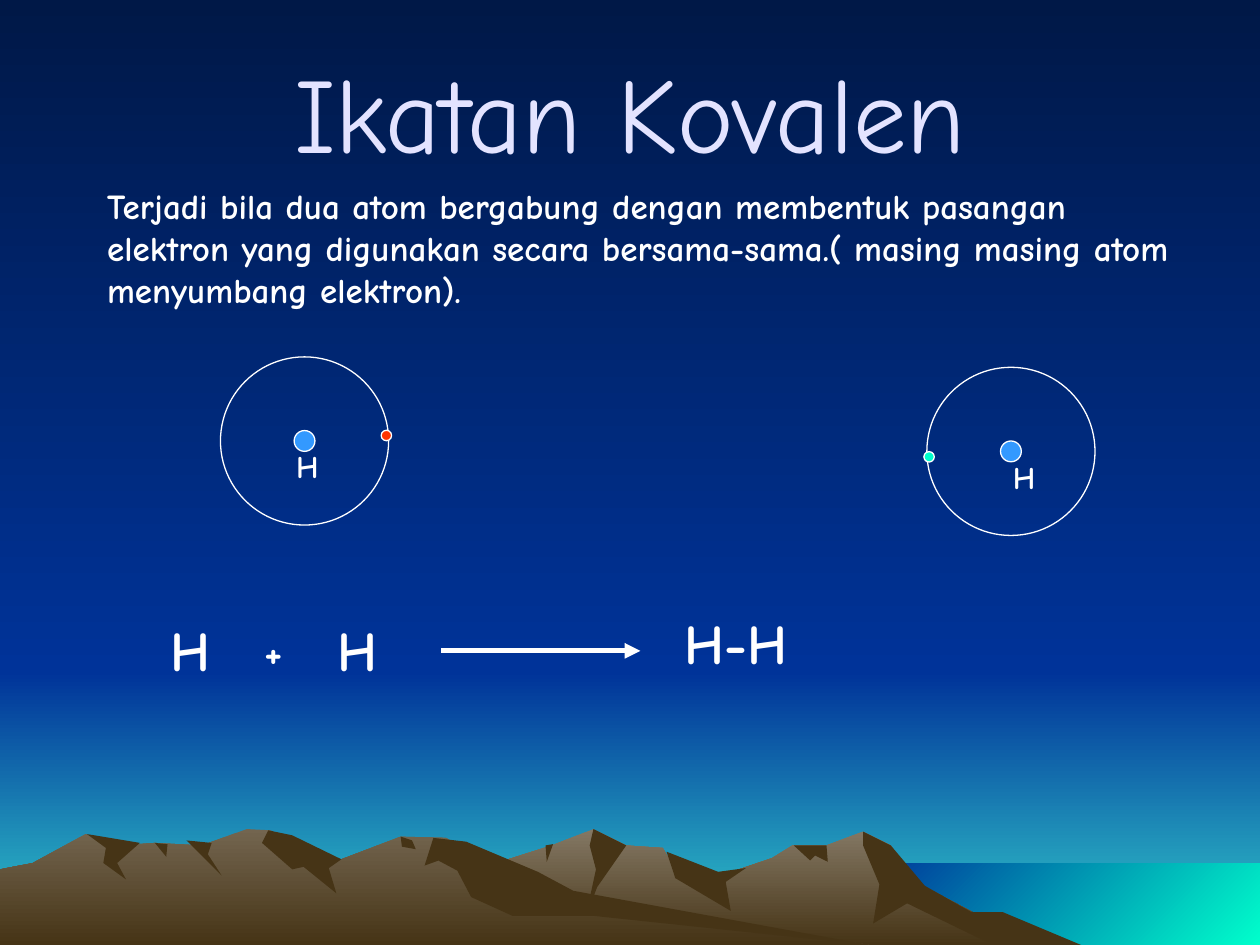
from lxml.etree import SubElement
from pptx import Presentation
from pptx.dml.color import RGBColor
from pptx.enum.shapes import MSO_CONNECTOR, MSO_SHAPE
from pptx.enum.text import MSO_ANCHOR, MSO_AUTO_SIZE, PP_ALIGN
from pptx.oxml.ns import qn
from pptx.util import Cm, Pt

FONT = "Comic Neue"
HUES = {
    "night": "001847", "blue": "003399", "teal": "33CCCC", "aqua": "00FFCC",
    "sand": "847864", "rock": "73654F", "shade": "463416", "title": "E3E3FF",
    "white": "FFFFFF", "core": "3399FF", "red": "FF3300",
}
TITLE = "Ikatan Kovalen"
BODY = ("Terjadi bila dua atom bergabung dengan membentuk pasangan elektron yang "
        "digunakan secara bersama-sama.( masing masing atom menyumbang elektron).")

WIDE, HIGH, SKY = 25.4, 19.05, 13.54
SEA = (17.35, 17.4)

# left, top, right, bottom, colours, angle
BANDS = [
    (0, SKY, WIDE, HIGH, ("blue", "teal"), 270),
    (0, 0, WIDE, SKY, ("night", "blue"), 270),
    (*SEA, WIDE, HIGH, ("blue", "aqua"), 315),
]
GRID = 0.0254
EAST = [
    (258, 750), (327, 709), (394, 685), (438, 671), (471, 658), (497, 671),
    (526, 673), (536, 690), (566, 697), (613, 681), (629, 671), (656, 671),
    (685, 660), (707, 671), (723, 698), (821, 750),
]
WEST = [
    (0, 750), (0, 690), (26, 685), (68, 662), (94, 671), (123, 669),
    (160, 671), (196, 658), (215, 659), (236, 681), (271, 682), (318, 664),
    (354, 665), (432, 712), (690, 750),
]
EAST_DARK = [
    [(685, 660), (707, 671), (734, 703), (771, 724), (796, 724), (858, 750),
     (788, 750), (720, 717), (693, 733), (698, 702), (685, 671)],
    [(471, 658), (497, 671), (474, 704), (465, 727), (473, 690), (468, 671)],
    [(529, 676), (570, 692), (592, 689), (576, 700), (580, 723), (536, 697)],
    [(630, 671), (656, 671), (657, 684), (647, 679), (643, 683)],
    [(433, 671), (439, 670), (434, 684)],
]
WEST_DARK = [
    [(213, 659), (232, 663), (271, 682), (261, 689), (267, 709), (241, 688),
     (232, 690), (208, 669)],
    [(344, 665), (370, 668), (427, 692), (455, 707), (690, 750), (472, 727),
     (407, 727), (374, 712), (363, 691), (348, 683), (337, 687)],
    [(318, 664), (327, 667), (330, 674), (319, 672)],
    [(148, 667), (168, 669), (165, 678), (176, 695)],
    [(123, 669), (133, 670), (132, 680)],
    [(69, 662), (111, 669), (93, 685), (100, 698), (82, 685), (84, 673)],
]
RANGES = [("sand", EAST, EAST_DARK), ("rock", WEST, WEST_DARK)]

# centre x, centre y, side of the electron, electron colour, label shift
ATOMS = [(6.14, 8.89, 1, "red", -0.42), (20.38, 9.1, -1, "aqua", -0.21)]
RING, CORE, DOT = 3.39, 0.42, 0.21
SHIFT = (1.65, -0.11)

# text, left, top, width, height, size
LABELS = [
    ("H", 3.18, 12.28, 1.27, 1.63, 32),
    ("H", 6.56, 12.28, 1.27, 1.63, 32),
    ("H-H", 13.55, 12.14, 3.18, 1.63, 32),
    ("+", 5.08, 12.49, 0.85, 1.27, 24),
    (BODY, 1.91, 3.6, 22.44, 2.8, 20),
]
ARROW = (8.89, 13.12, 12.91, 13.12)


def hue(name):
    """Return the named colour."""
    return RGBColor.from_string(HUES[name])


def paint(fill, tint, angle=270):
    """Apply a flat colour, a pair of gradient colours, or no fill."""
    if tint is None:
        fill.background()
    elif isinstance(tint, str):
        fill.solid()
        fill.fore_color.rgb = hue(tint)
    else:
        fill.gradient()
        fill.gradient_angle = angle
        for stop, name in zip(fill.gradient_stops, tint):
            stop.color.rgb = hue(name)


def dress(shape, tint, angle=270, edge=None):
    """Set the fill and outline of a shape without a shadow."""
    shape.shadow.inherit = False
    paint(shape.fill, tint, angle)
    paint(shape.line.fill, edge)
    if edge:
        shape.line.width = Pt(0.75)


def write(box, text, size, tint="white", bold=True, align=PP_ALIGN.LEFT,
          anchor=MSO_ANCHOR.TOP):
    """Write formatted text into a box."""
    frame = box.text_frame
    frame.word_wrap = True
    frame.auto_size = MSO_AUTO_SIZE.NONE
    frame.vertical_anchor = anchor
    para = frame.paragraphs[0]
    para.alignment = align
    run = para.add_run()
    run.text = text
    font = run.font
    font.name, font.size, font.bold = FONT, Pt(size), bold
    font.color.rgb = hue(tint)


def label(shapes, text, left, top, width, height, size):
    """Add a text box."""
    box = shapes.add_textbox(Cm(left), Cm(top), Cm(width), Cm(height))
    write(box, text, size)


def disc(shapes, x, y, size, tint):
    """Add a circle around a centre."""
    left, top = x - size / 2, y - size / 2
    oval = shapes.add_shape(MSO_SHAPE.OVAL, Cm(left), Cm(top), Cm(size), Cm(size))
    dress(oval, tint, edge="white")


def hill(shapes, dots, tint):
    """Add a closed outline."""
    line = shapes.build_freeform(*dots[0], scale=Cm(GRID))
    line.add_line_segments(dots[1:], close=True)
    dress(line.convert_to_shape(), tint)


def main():
    """Build the slide and save it."""
    deck = Presentation()
    deck.slide_width, deck.slide_height = Cm(WIDE), Cm(HIGH)
    slide = deck.slides.add_slide(deck.slide_layouts[5])
    shapes = slide.shapes
    paint(slide.background.fill, ("night", "blue"))

    for left, top, right, foot, tint, angle in BANDS:
        band = shapes.add_shape(MSO_SHAPE.RECTANGLE, Cm(left), Cm(top),
                                Cm(right - left), Cm(foot - top))
        dress(band, tint, angle)
    for tint, crest, folds in RANGES:
        hill(shapes, crest, (tint, "shade"))
        for fold in folds:
            hill(shapes, fold, "shade")

    title = shapes.title
    title.left, title.top, title.width, title.height = map(
        Cm, (1.27, 0.64, 22.86, 3.18))
    write(title, TITLE, 61, tint="title", bold=False, align=PP_ALIGN.CENTER,
          anchor=MSO_ANCHOR.MIDDLE)
    title.element.getparent().append(title.element)

    for x, y, side, tint, shift in ATOMS:
        disc(shapes, x, y, RING, None)
        disc(shapes, x, y, CORE, "core")
        disc(shapes, x + side * SHIFT[0], y + side * SHIFT[1], DOT, tint)
        label(shapes, "H", x + shift, y, 1.27, 1.02, 18)
    for item in LABELS:
        label(shapes, *item)

    arrow = shapes.add_connector(MSO_CONNECTOR.STRAIGHT, *map(Cm, ARROW))
    arrow.line.width = Pt(3)
    arrow.line.color.rgb = hue("white")
    props = arrow.element.spPr
    SubElement(props.find(qn("a:ln")), qn("a:tailEnd"), type="triangle")
    SubElement(props, qn("a:effectLst"))

    deck.save("out.pptx")


if __name__ == "__main__":
    main()
